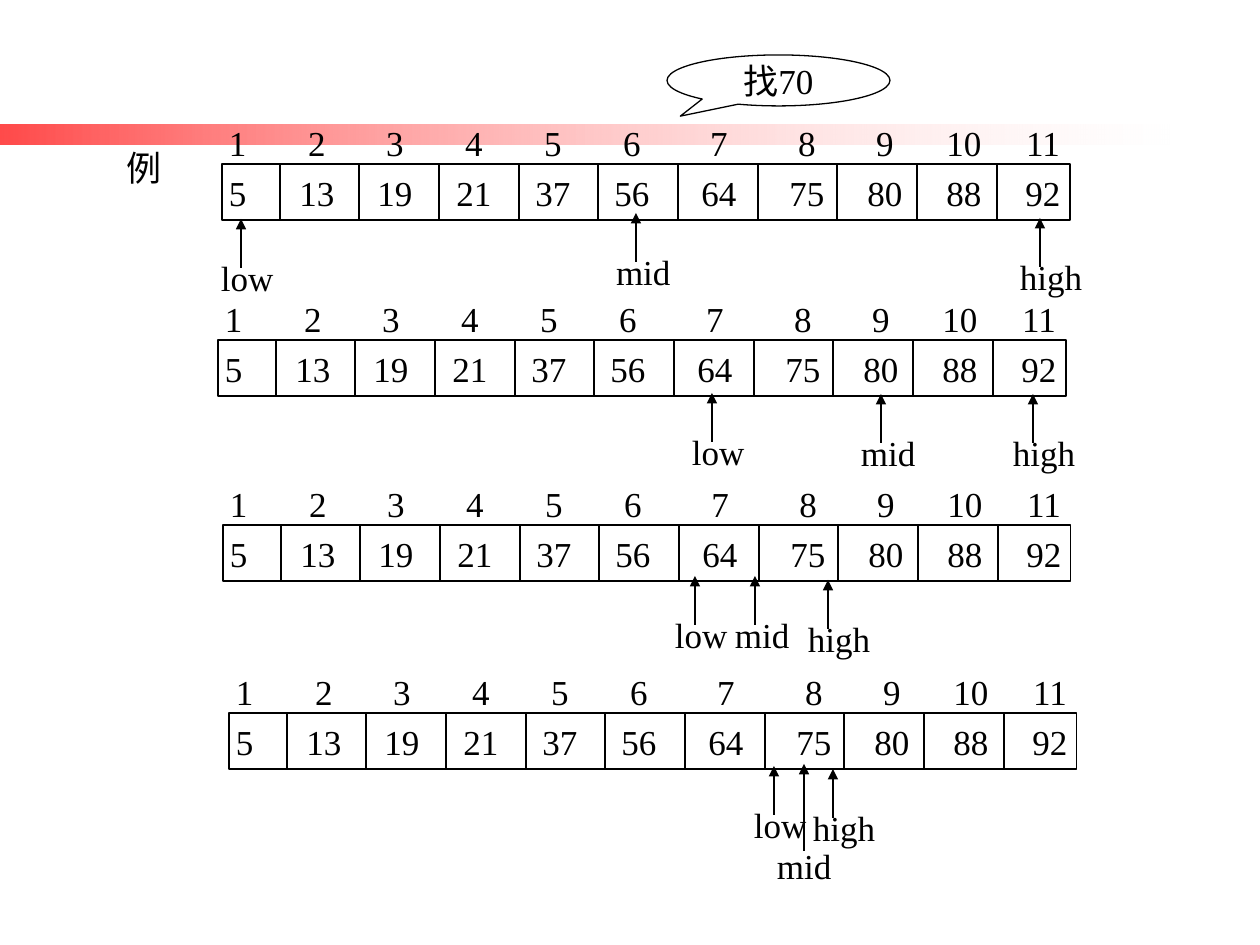
"""Builds a slide that traces a binary search for 70 through a sorted table."""
from lxml import etree
from pptx import Presentation
from pptx.dml.color import RGBColor
from pptx.enum.shapes import MSO_CONNECTOR, MSO_SHAPE
from pptx.enum.text import MSO_ANCHOR, PP_ALIGN
from pptx.oxml.ns import qn
from pptx.util import Emu, Pt

PX = 914400 // 126
BLACK = RGBColor(0x00, 0x00, 0x00)
WHITE = RGBColor(0xFF, 0xFF, 0xFF)
RED = RGBColor(0xFF, 0x00, 0x00)
RECTANGLE = MSO_SHAPE.RECTANGLE
CALLOUT = MSO_SHAPE.OVAL_CALLOUT
STRAIGHT = MSO_CONNECTOR.STRAIGHT
LEFT, CENTER = PP_ALIGN.LEFT, PP_ALIGN.CENTER
TOP, MIDDLE = MSO_ANCHOR.TOP, MSO_ANCHOR.MIDDLE

INDEXES = range(1, 12)
VALUES = [5, 13, 19, 21, 37, 56, 64, 75, 80, 88, 92]
COLUMN_CENTERS = [88, 166, 245, 324, 403, 490, 578, 656, 735, 814]
ROW_W, ROW_H = 848, 56
ARROW_H = 49
LABEL_W = {"low": 77, "mid": 79, "high": 87}
STEPS = [
    (222, 164, [("low", 241, 219), ("high", 1040, 218), ("mid", 636, 213)]),
    (218, 340, [("low", 712, 393), ("high", 1033, 394), ("mid", 881, 394)]),
    (223, 525, [("low", 695, 576), ("high", 828, 580), ("mid", 755, 576)]),
    (229, 713, [("low", 774, 766), ("high", 833, 769)]),
]


class SlideBuilder:
    def __init__(self, slide, font="Times New Roman", size=20, line=0.75):
        self.slide = slide
        self.shapes = slide.shapes
        self.font, self.size, self.line_width = font, Pt(size), Pt(line)

    def group(self):
        self.shapes = self.slide.shapes.add_group_shape().shapes

    def set_text(self, sp, text, align=LEFT, anchor=TOP, wrap=False, inset=12, tabs=()):
        tf = sp.text_frame
        tf.word_wrap = wrap
        tf.vertical_anchor = anchor
        tf.margin_left = Emu(inset * PX)
        p = tf.paragraphs[0]
        p.text = text
        p.alignment = align
        if tabs:
            tf.margin_right = 0
            stops = etree.SubElement(p._p.get_or_add_pPr(), qn("a:tabLst"))
            for pos in tabs:
                etree.SubElement(stops, qn("a:tab"), pos=str(pos * PX), algn="ctr")
        for r in p.runs:
            r.font.name, r.font.size = self.font, self.size
            r.font.color.rgb = BLACK

    def text(self, x, y, w, h, text, **style):
        sp = self.shapes.add_textbox(*(Emu(v * PX) for v in (x, y, w, h)))
        self.set_text(sp, text, **style)

    def shape(self, kind, x, y, w, h):
        sp = self.shapes.add_shape(kind, *(Emu(v * PX) for v in (x, y, w, h)))
        sp.shadow.inherit = False
        sp.fill.background()
        sp.line.color.rgb, sp.line.width = BLACK, self.line_width
        return sp

    def fading_bar(self, x, y, w, h):
        sp = self.shape(RECTANGLE, x, y, w, h)
        sp.line.fill.background()
        sp.fill.gradient()
        sp.fill.gradient_angle = 180
        for stop, color in zip(sp.fill.gradient_stops, (WHITE, RED)):
            stop.color.rgb = color
        for node, alpha in zip(sp._element.spPr.iter(qn("a:srgbClr")), (18, 71)):
            etree.SubElement(node, qn("a:alpha"), val=str(alpha * 1000))

    def line(self, x1, y1, x2, y2, arrow=False):
        cxn = self.shapes.add_connector(STRAIGHT, *(Emu(v * PX) for v in (x1, y1, x2, y2)))
        cxn.line.color.rgb, cxn.line.width = BLACK, self.line_width
        sp_pr = cxn._element.spPr
        if arrow:
            etree.SubElement(sp_pr.find(qn("a:ln")), qn("a:tailEnd"), type="triangle")
        etree.SubElement(sp_pr, qn("a:effectLst"))

    def table_row(self, x, y):
        columns = dict(wrap=True, tabs=COLUMN_CENTERS)
        self.text(x - 5, y - 49, 858, 55, "\t".join(map(str, INDEXES)), **columns)
        box = self.shape(RECTANGLE, x, y, ROW_W, ROW_H)
        self.set_text(box, "\t".join(map(str, VALUES)), anchor=MIDDLE, inset=7, **columns)
        for i in range(10):
            divider = x + 58 + 717 * i // 9
            self.line(divider, y, divider, y + ROW_H)

    def pointer(self, name, x, y, length=ARROW_H, dx=-32, dy=-18):
        self.line(x, y + length, x, y, arrow=True)
        self.text(x + dx, y + length + dy, LABEL_W[name], 55, name)


def main():
    prs = Presentation()
    prs.slide_width, prs.slide_height = Emu(1260 * PX), Emu(945 * PX)
    s = SlideBuilder(prs.slides.add_slide(prs.slide_layouts[6]))
    s.fading_bar(0, 125, 1170, 20)
    s.text(115, 140, 68, 55, "例")
    for x, y, pointers in STEPS:
        s.group()
        s.table_row(x, y)
        for pointer in pointers:
            s.pointer(*pointer)
    s.pointer("mid", 804, 764, length=87, dx=-39, dy=-13)
    callout = s.shape(CALLOUT, 667, 55, 223, 51)
    callout.adjustments[0], callout.adjustments[1] = -0.44, 0.7
    s.set_text(callout, "找70", align=CENTER, anchor=MIDDLE)
    prs.save("out.pptx")


if __name__ == "__main__":
    main()
